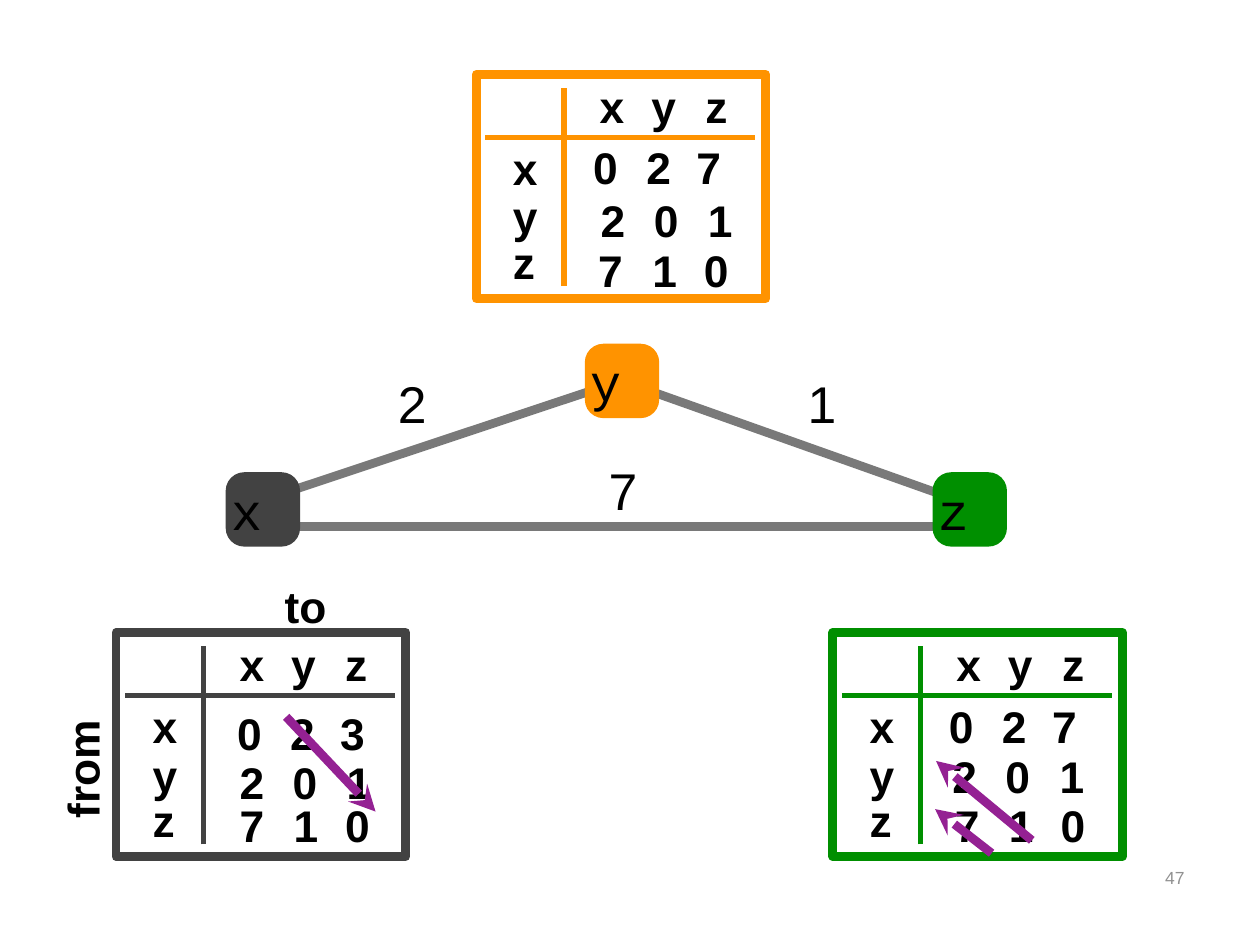
"""Builds a distance-vector slide: a three-node graph with a routing table per node."""
import lxml.etree
import pptx
import pptx.dml.color
import pptx.enum.shapes
import pptx.enum.text
import pptx.oxml.ns
import pptx.util

Cm = pptx.util.Cm
Pt = pptx.util.Pt
qn = pptx.oxml.ns.qn

BLACK, GREY, PURPLE = "000000", "797979", "942193"
NODE_COLORS = {"x": "424242", "y": "FF9300", "z": "008F00"}
NODE_PLACES = {"x": (4.55, 9.52), "z": (18.8, 9.52), "y": (11.79, 6.93)}
NODE_SIDE = 1.5
EDGES = [
    ((12.09, 7.82), (5.66, 9.96)),
    ((5.84, 10.62), (19.38, 10.62)),
    ((12.93, 7.82), (19.38, 10.11)),
]
WEIGHTS = [("7", 12.17, 9.14), ("2", 7.92, 7.39), ("1", 16.18, 7.39)]

TABLE_WIDTH, TABLE_HEIGHT = 5.84, 4.52
HEADER_LEFTS = (2.39, 3.43, 4.52)
LABEL_TOPS = (1.24, 2.21, 3.12)
COLUMN_STEPS = ((0, 1.07, 2.08), (0, 1.07, 2.16), (0, 1.09, 2.13))
COLUMN_WIDTHS = ((0.74, 0.74, 0.74), (0.48, 0.48, 0.38), (0.48, 0.48, 0.53))
TABLES = [
    ("y", 9.6, 1.5, [("027", 2.26, 1.22), ("201", 2.41, 2.29), ("710", 2.36, 3.28)]),
    ("x", 2.34, 12.75, [("023", 2.34, 1.37), ("201", 2.39, 2.36), ("710", 2.39, 3.23)]),
    ("z", 16.79, 12.75, [("027", 2.24, 1.24), ("201", 2.31, 2.24), ("710", 2.36, 3.23)]),
]
UPDATE_ARROWS = [
    ((5.77, 14.45), (7.57, 16.36)),
    ((19.99, 17.2), (18.85, 16.31)),
    ((20.8, 16.94), (18.87, 15.34)),
]


def rgb(color):
    """Turn a hex string into a colour."""
    return pptx.dml.color.RGBColor.from_string(color)


def write(shape, text, size, font_name="Arial", color=BLACK, bold=False, inset=0.1):
    """Put one left-aligned, vertically centred line of text in a shape."""
    frame = shape.text_frame
    frame.word_wrap = True
    frame.vertical_anchor = pptx.enum.text.MSO_ANCHOR.MIDDLE
    frame.margin_left = frame.margin_right = Cm(inset)
    frame.margin_top = frame.margin_bottom = Cm(inset)
    line = frame.paragraphs[0]
    line.text = text
    line.alignment = pptx.enum.text.PP_ALIGN.LEFT
    line.font.name = font_name
    line.font.size = Pt(size)
    line.font.bold = bold
    line.font.color.rgb = rgb(color)


def add_label(slide, text, left, top, width, height=1.3, size=25.3, bold=True):
    """Add a text box with one line and return it."""
    label = slide.shapes.add_textbox(Cm(left), Cm(top), Cm(width), Cm(height))
    write(label, text, size, bold=bold)
    return label


def add_line(slide, start, end, color, width, arrow=False):
    """Add a straight line, with a stealth arrowhead at its end if asked."""
    line = slide.shapes.add_connector(
        pptx.enum.shapes.MSO_CONNECTOR.STRAIGHT,
        Cm(start[0]), Cm(start[1]), Cm(end[0]), Cm(end[1]))
    line.line.color.rgb = rgb(color)
    line.line.width = Pt(width)
    if arrow:
        outline = line.line._get_or_add_ln()
        lxml.etree.SubElement(outline, qn("a:tailEnd"), type="stealth")
    lxml.etree.SubElement(line._element.spPr, qn("a:effectLst"))


def add_node(slide, name):
    """Add a rounded graph node with its name."""
    left, top = NODE_PLACES[name]
    node = slide.shapes.add_shape(
        pptx.enum.shapes.MSO_SHAPE.ROUNDED_RECTANGLE,
        Cm(left), Cm(top), Cm(NODE_SIDE), Cm(NODE_SIDE))
    node.adjustments[0] = 0.25
    node.shadow.inherit = False
    node.fill.solid()
    node.fill.fore_color.rgb = rgb(NODE_COLORS[name])
    node.line.fill.background()
    write(node, name, 29.5, font_name="Courier New", inset=0)


def add_routing_table(slide, owner, left, top, rows):
    """Add the framed distance table of one node."""
    color = NODE_COLORS[owner]
    frame = slide.shapes.add_shape(
        pptx.enum.shapes.MSO_SHAPE.RECTANGLE,
        Cm(left), Cm(top), Cm(TABLE_WIDTH), Cm(TABLE_HEIGHT))
    frame.shadow.inherit = False
    frame.fill.background()
    frame.line.color.rgb = rgb(color)
    frame.line.width = Pt(5)
    add_line(slide, (left + 0.18, top + 1.27), (left + 5.62, top + 1.27), color, 3)
    add_line(slide, (left + 1.77, top + 4.27), (left + 1.77, top + 0.27), color, 3)
    for name, header_left, label_top in zip("xyz", HEADER_LEFTS, LABEL_TOPS):
        add_label(slide, name, left + header_left, top + 0.05, 0.74, 1.17)
        add_label(slide, name, left + 0.64, top + label_top, 0.66)
    for (costs, row_left, row_top), steps, widths in zip(rows, COLUMN_STEPS, COLUMN_WIDTHS):
        for cost, step, width in zip(costs, steps, widths):
            add_label(slide, cost, left + row_left + step, top + row_top, width)


def add_slide_number(slide, number):
    """Add the slide number at the bottom right."""
    box = slide.shapes.add_textbox(Cm(18.21), Cm(17.35), Cm(5.92), Cm(1.27))
    box.text_frame.word_wrap = True
    line = box.text_frame.paragraphs[0]
    line.text = number
    line.alignment = pptx.enum.text.PP_ALIGN.RIGHT
    line.font.name = "Arial"
    line.font.size = Pt(10)
    line.font.color.rgb = rgb("919191")


def main():
    """Build and save the slide."""
    deck = pptx.Presentation()
    deck.slide_width, deck.slide_height = Cm(25.4), Cm(19.05)
    slide = deck.slides.add_slide(deck.slide_layouts[6])
    for start, end in EDGES:
        add_line(slide, start, end, GREY, 5)
    add_slide_number(slide, "47")
    for name in NODE_PLACES:
        add_node(slide, name)
    for weight, left, top in WEIGHTS:
        add_label(slide, weight, left, top, 0.74, 1.47, size=29.5, bold=False)
    for table in TABLES:
        add_routing_table(slide, *table)
    add_label(slide, "from", 0.23, 14.53, 2.84).rotation = 270
    add_label(slide, "to", 5.64, 11.56, 1.3)
    for start, end in UPDATE_ARROWS:
        add_line(slide, start, end, PURPLE, 5, arrow=True)
    deck.save("out.pptx")


if __name__ == "__main__":
    main()
